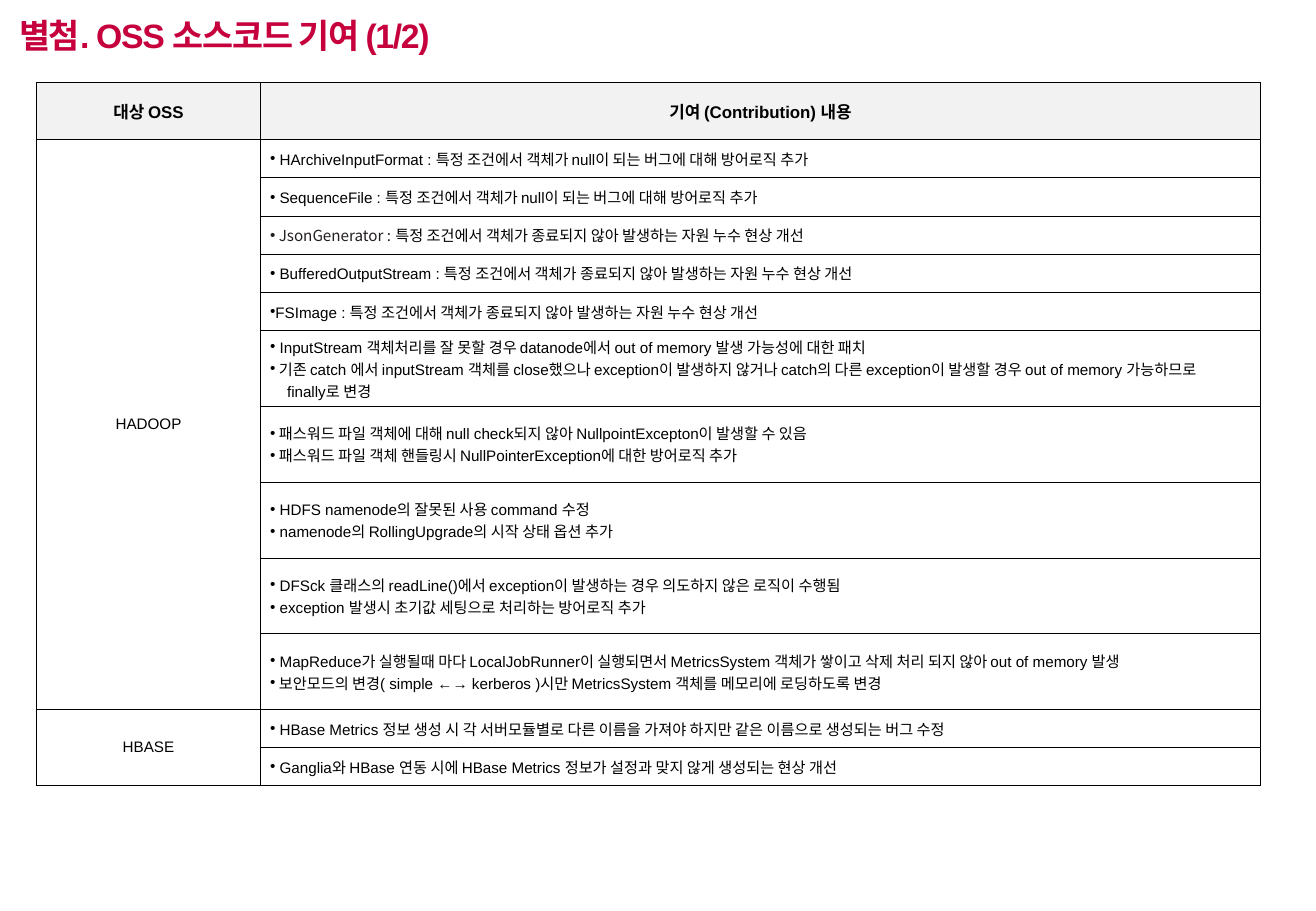
import pptx
import pptx.util
import pptx.dml.color
import pptx.enum.text
import pptx.oxml.ns
import lxml.etree

Pt = pptx.util.Pt
ALIGN = pptx.enum.text.PP_ALIGN
MIDDLE = pptx.enum.text.MSO_ANCHOR.MIDDLE

TITLE = "별첨. OSS 소스코드 기여 (1/2)"
HEADERS = ["대상 OSS", "기여 (Contribution) 내용"]
NULL_GUARD = " 특정 조건에서 객체가 null이 되는 버그에 대해 방어로직 추가"
LEAK_FIX = " 특정 조건에서 객체가 종료되지 않아 발생하는 자원 누수 현상 개선"
CONTINUED = "finally로 변경"
ALT_FONT_LEAD = " JsonGenerator :"

# Each project lists its rows; each row lists its paragraphs.
CONTRIBUTIONS = {
    "HADOOP": [
        [" HArchiveInputFormat :" + NULL_GUARD],
        [" SequenceFile :" + NULL_GUARD],
        [ALT_FONT_LEAD + LEAK_FIX],
        [" BufferedOutputStream :" + LEAK_FIX],
        ["FSImage :" + LEAK_FIX],
        [" InputStream 객체처리를 잘 못할 경우 datanode에서 out of memory 발생 가능성에 대한 패치",
         " 기존 catch 에서 inputStream 객체를 close했으나 exception이 발생하지 않거나 "
         "catch의 다른 exception이 발생할 경우 out of memory 가능하므로",
         CONTINUED],
        [" 패스워드 파일 객체에 대해 null check되지 않아 NullpointExcepton이 발생할 수 있음",
         " 패스워드 파일 객체 핸들링시 NullPointerException에 대한 방어로직 추가"],
        [" HDFS namenode의 잘못된 사용 command 수정",
         " namenode의 RollingUpgrade의 시작 상태 옵션 추가"],
        [" DFSck 클래스의 readLine()에서 exception이 발생하는 경우 의도하지 않은 로직이 수행됨",
         " exception 발생시 초기값 세팅으로 처리하는 방어로직 추가"],
        [" MapReduce가 실행될때 마다 LocalJobRunner이 실행되면서 MetricsSystem 객체가 쌓이고 "
         "삭제 처리 되지 않아 out of memory 발생",
         " 보안모드의 변경( simple ←→ kerberos )시만 MetricsSystem 객체를 메모리에 로딩하도록 변경"],
    ],
    "HBASE": [
        [" HBase Metrics 정보 생성 시 각 서버모듈별로 다른 이름을 가져야 하지만 같은 이름으로 생성되는 버그 수정"],
        [" Ganglia와 HBase 연동 시에 HBase Metrics 정보가 설정과 맞지 않게 생성되는 현상 개선"],
    ],
}

COLORS = {"title": "C5003D", "text": "000000", "lead": "231F20",
          "header": "F2F2F2", "border": "000000"}
LATIN, KOREAN = "Arial", "Noto Sans CJK KR"
COLUMN_WIDTHS = [132.8, 592.8]
HEADER_HEIGHT, SINGLE_HEIGHT, MULTI_HEIGHT = 33.8, 22.7, 44.9


def rgb(name):
    return pptx.dml.color.RGBColor.from_string(COLORS[name])


def sub(parent, tag, **attributes):
    return lxml.etree.SubElement(parent, pptx.oxml.ns.qn(tag), attributes)


def add_text(paragraph, text, size=9, color="text", bold=False, font=LATIN,
             align=None, spacing=None):
    if align is not None:
        paragraph.alignment = align
    run = paragraph.add_run()
    run.text = text
    run.font.size = Pt(size)
    run.font.bold = bold
    run.font.name = font
    run.font.color.rgb = rgb(color)
    properties = run.font._element
    sub(properties, "a:ea", typeface=KOREAN)
    if spacing is not None:
        properties.set("spc", str(round(spacing * 100)))


def style_cell(cell, fill=None, left=0):
    cell.margin_left = Pt(left)
    cell.margin_right = cell.margin_top = cell.margin_bottom = 0
    cell.vertical_anchor = MIDDLE
    properties = cell._tc.get_or_add_tcPr()
    for side in ("a:lnL", "a:lnR", "a:lnT", "a:lnB"):
        line = sub(properties, side, w=str(Pt(0.5)))
        sub(sub(line, "a:solidFill"), "a:srgbClr", val=COLORS["border"])
    if fill:
        cell.fill.solid()
        cell.fill.fore_color.rgb = rgb(fill)
    else:
        cell.fill.background()


def fill_contribution(cell, lines):
    """Write one bulleted paragraph per line; a continued line is only indented."""
    for index, line in enumerate(lines):
        frame = cell.text_frame
        paragraph = frame.paragraphs[0] if index == 0 else frame.add_paragraph()
        properties = paragraph._p.get_or_add_pPr()
        if line == CONTINUED:
            properties.set("marL", str(Pt(10)))
            sub(properties, "a:buNone")
        else:
            sub(properties, "a:buFont", typeface=LATIN)
            sub(properties, "a:buChar", char="•")
        if line.startswith(ALT_FONT_LEAD):
            add_text(paragraph, ALT_FONT_LEAD, color="lead", font=KOREAN)
            line = line[len(ALT_FONT_LEAD):]
        add_text(paragraph, line)


def add_title(slide):
    frame = slide.shapes.add_textbox(Pt(4.3), Pt(3.6), Pt(579), Pt(34)).text_frame
    frame.word_wrap = True
    frame.vertical_anchor = MIDDLE
    add_text(frame.paragraphs[0], TITLE, size=20, color="title", bold=True, spacing=-0.8)


def add_contribution_table(slide):
    rows = [lines for group in CONTRIBUTIONS.values() for lines in group]
    heights = [HEADER_HEIGHT] + [SINGLE_HEIGHT if len(lines) == 1 else MULTI_HEIGHT
                                 for lines in rows]
    table = slide.shapes.add_table(len(heights), len(COLUMN_WIDTHS), Pt(21.6), Pt(48.9),
                                   Pt(sum(COLUMN_WIDTHS)), Pt(sum(heights))).table
    table.first_row = table.horz_banding = False
    for column, width in zip(table.columns, COLUMN_WIDTHS):
        column.width = Pt(width)
    for row, height in zip(table.rows, heights):
        row.height = Pt(height)

    for column, header in enumerate(HEADERS):
        cell = table.cell(0, column)
        style_cell(cell, fill="header")
        add_text(cell.text_frame.paragraphs[0], header, size=10, bold=True,
                 align=ALIGN.CENTER)
    for row, lines in enumerate(rows, start=1):
        style_cell(table.cell(row, 0))
        style_cell(table.cell(row, 1), left=5.76)
        fill_contribution(table.cell(row, 1), lines)

    first = 1
    for project, group in CONTRIBUTIONS.items():
        cell = table.cell(first, 0)
        cell.merge(table.cell(first + len(group) - 1, 0))
        add_text(cell.text_frame.paragraphs[0], project, align=ALIGN.CENTER)
        first += len(group)


def main():
    deck = pptx.Presentation()
    deck.slide_width, deck.slide_height = Pt(780), Pt(540)
    slide = deck.slides.add_slide(deck.slide_layouts[6])
    add_title(slide)
    add_contribution_table(slide)
    deck.save("out.pptx")


if __name__ == "__main__":
    main()
